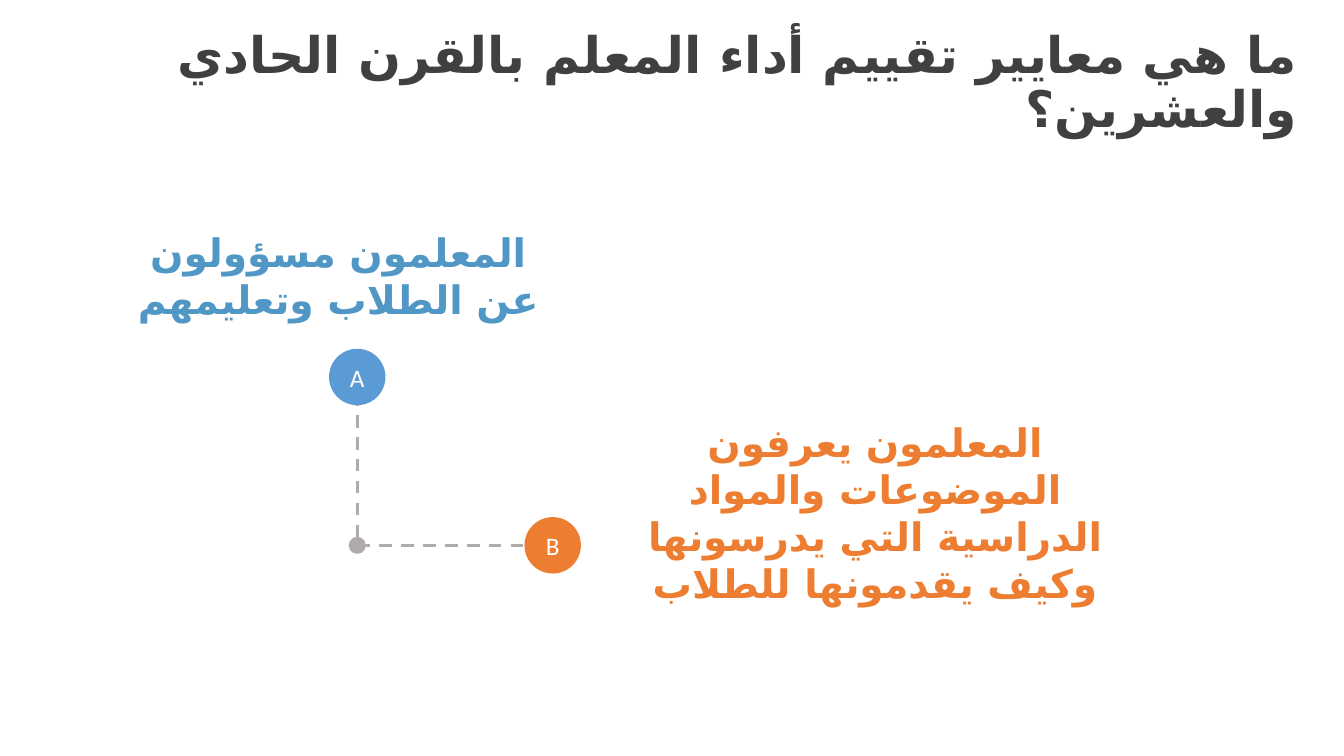
from dataclasses import dataclass

from lxml import etree
from pptx import Presentation
from pptx.dml.color import RGBColor
from pptx.enum import dml, lang, shapes, text
from pptx.oxml import ns
from pptx.util import Pt

FONT, ARABIC_FONT = "Calibri", "DejaVu Sans"
BLUE, ORANGE, GREY = "5B9BD5", "ED7D31", "AFABAB"
JOINT_X, JOINT_Y = 255.2, 389.52
BADGE, DOT = 40.3, 12.24


@dataclass
class Circle:
    x: float  # centre
    y: float
    size: float
    color: str
    letter: str = ""


@dataclass
class Line:
    x1: float
    y1: float
    x2: float
    y2: float


@dataclass
class Caption:
    left: float
    top: float
    width: float
    height: float
    color: str
    words: str


LINES = [
    Line(JOINT_X, 280.8, JOINT_X, JOINT_Y),
    Line(JOINT_X, JOINT_Y, 378, JOINT_Y),
]
CIRCLES = [
    Circle(JOINT_X, 269.28, BADGE, BLUE, "A"),
    Circle(394.8, JOINT_Y, BADGE, ORANGE, "B"),
    Circle(JOINT_X, JOINT_Y, DOT, GREY),
]
CAPTIONS = [
    Caption(87.84, 159.84, 307.44, 74.88, "5097C6",
            "المعلمون مسؤولون عن الطلاب وتعليمهم"),
    Caption(442.08, 295.2, 365.76, 108.72, ORANGE,
            "المعلمون يعرفون الموضوعات والمواد الدراسية التي يدرسونها وكيف يقدمونها للطلاب"),
]


def rgb(color: str) -> RGBColor:
    return RGBColor.from_string(color)


def add_run(p, words: str, size: float, color: str, bold: bool = False):
    r = p.add_run()
    r.text = words
    r.font.name, r.font.size, r.font.bold = FONT, Pt(size), bold
    r.font.color.rgb = rgb(color)
    return r


def add_arabic(p, words: str, size: float, color: str, align) -> None:
    p.alignment = align
    p._p.get_or_add_pPr().set("rtl", "1")
    r = add_run(p, words, size, color, bold=True)
    r.font.language_id = lang.MSO_LANGUAGE_ID.ARABIC
    # Arabic letters take the complex-script font
    etree.SubElement(r.font._element, ns.qn("a:cs"), typeface=ARABIC_FONT)


def add_line(s, line: Line) -> None:
    sp = s.shapes.add_connector(shapes.MSO_CONNECTOR.STRAIGHT, Pt(line.x1),
                                Pt(line.y1), Pt(line.x2), Pt(line.y2))
    sp.line.color.rgb = rgb(GREY)
    sp.line.width = Pt(2.25)
    sp.line.dash_style = dml.MSO_LINE.DASH
    etree.SubElement(sp._element.spPr, ns.qn("a:effectLst"))


def add_circle(s, c: Circle) -> None:
    sp = s.shapes.add_shape(shapes.MSO_SHAPE.OVAL, Pt(c.x - c.size / 2),
                            Pt(c.y - c.size / 2), Pt(c.size), Pt(c.size))
    sp.shadow.inherit = False
    sp.fill.solid()
    sp.fill.fore_color.rgb = rgb(c.color)
    sp.line.fill.background()
    if c.letter:
        tf = sp.text_frame
        tf.vertical_anchor = text.MSO_ANCHOR.MIDDLE
        p = tf.paragraphs[0]
        p.alignment = text.PP_ALIGN.CENTER
        add_run(p, c.letter, 18, "FFFFFF")


def add_caption(s, c: Caption) -> None:
    sp = s.shapes.add_textbox(Pt(c.left), Pt(c.top), Pt(c.width), Pt(c.height))
    tf = sp.text_frame
    tf.word_wrap = True
    tf.auto_size = text.MSO_AUTO_SIZE.SHAPE_TO_FIT_TEXT
    add_arabic(tf.paragraphs[0], c.words, 28, c.color, text.PP_ALIGN.CENTER)


def add_title(s, words: str) -> None:
    sp = s.shapes.title
    sp.left, sp.top, sp.width, sp.height = Pt(66.24), Pt(27.36), Pt(867.6), Pt(65.52)
    tf = sp.text_frame
    tf.word_wrap = True
    tf.auto_size = text.MSO_AUTO_SIZE.NONE
    tf.vertical_anchor = text.MSO_ANCHOR.MIDDLE
    p = tf.paragraphs[0]
    p.line_spacing = 0.9
    add_arabic(p, words, 36, "404040", text.PP_ALIGN.RIGHT)


def main() -> None:
    prs = Presentation()
    prs.slide_width, prs.slide_height = Pt(960), Pt(540)
    s = prs.slides.add_slide(prs.slide_layouts[5])

    add_title(s, "ما هي معايير تقييم أداء المعلم بالقرن الحادي والعشرين؟")

    # Dashed branches, then the circles that cover their ends
    for line in LINES:
        add_line(s, line)
    for circle in CIRCLES:
        add_circle(s, circle)

    # Captions
    for caption in CAPTIONS:
        add_caption(s, caption)

    prs.save("out.pptx")


if __name__ == "__main__":
    main()
